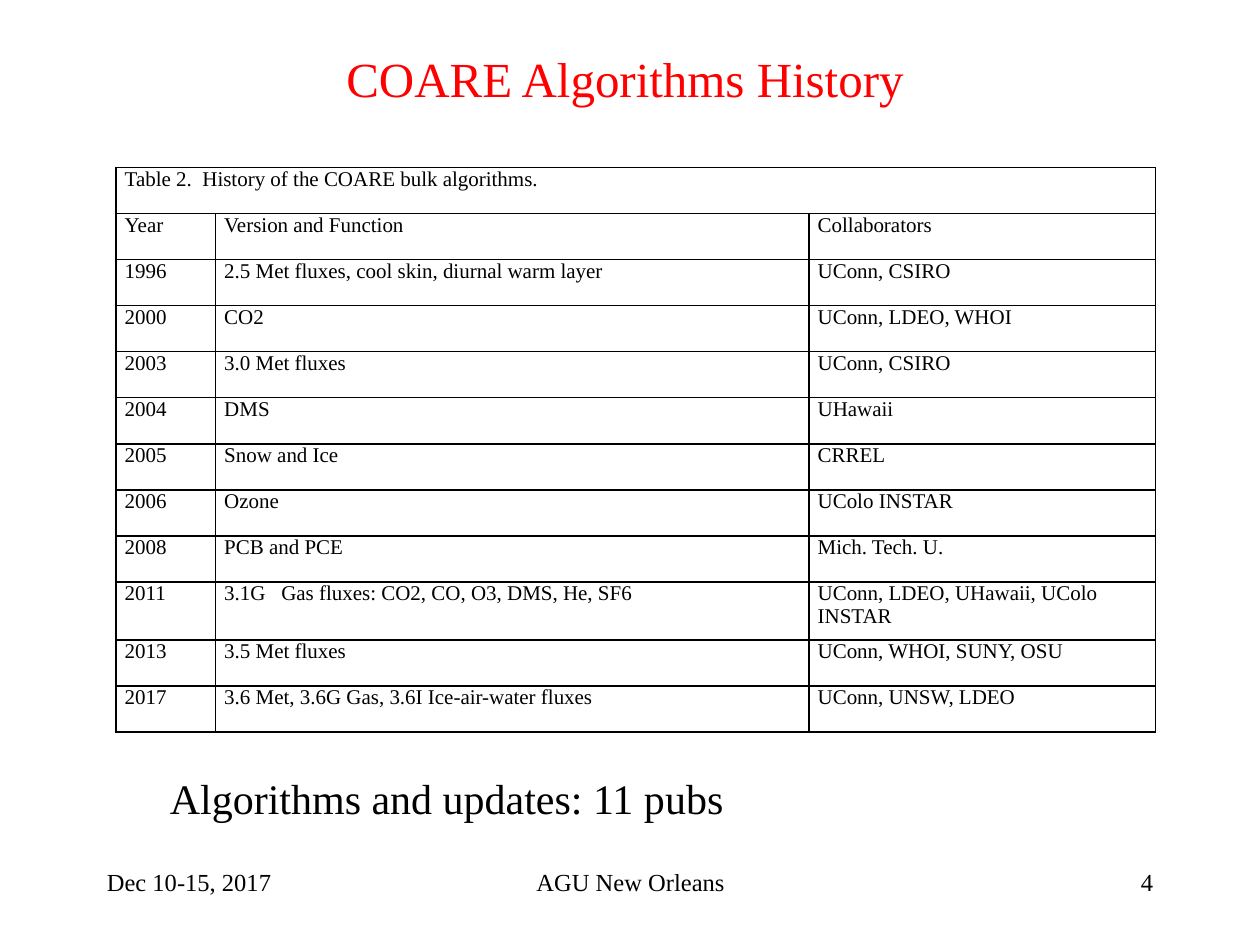
"""Build the COARE algorithms history slide with its table and footer."""
from dataclasses import dataclass

import lxml.etree
import pptx
import pptx.dml.color
import pptx.enum.text
import pptx.oxml.ns
import pptx.util

Inches = pptx.util.Inches
Align = pptx.enum.text.PP_ALIGN
Anchor = pptx.enum.text.MSO_ANCHOR


@dataclass(frozen=True)
class Theme:
    font: str = "Times New Roman"
    ink: str = "000000"
    accent: str = "FF0000"
    title: int = 28
    note: int = 24
    footer: int = 14
    table: int = 12
    border: int = 1


theme = Theme()


def write(frame, text, size, color=theme.ink, align=Align.LEFT, anchor=Anchor.TOP):
    frame.word_wrap = True
    frame.vertical_anchor = anchor
    para = frame.paragraphs[0]
    para.alignment = align
    span = para.add_run()
    span.text = text
    span.font.name = theme.font
    span.font.size = pptx.util.Pt(size)
    span.font.color.rgb = pptx.dml.color.RGBColor.from_string(color)


def draw_borders(cell):
    properties = cell._tc.get_or_add_tcPr()
    for side in ("lnL", "lnR", "lnT", "lnB"):
        line = lxml.etree.SubElement(properties, pptx.oxml.ns.qn(f"a:{side}"))
        line.set("w", str(pptx.util.Pt(theme.border)))
        fill = lxml.etree.SubElement(line, pptx.oxml.ns.qn("a:solidFill"))
        lxml.etree.SubElement(fill, pptx.oxml.ns.qn("a:srgbClr")).set("val", theme.ink)


deck = pptx.Presentation()
deck.slide_width, deck.slide_height = Inches(10), Inches(7.5)
page = deck.slides.add_slide(deck.slide_layouts[5])

title = page.shapes.title
title.left, title.top = Inches(0.75), Inches(0.33)
title.width, title.height = Inches(8.42), Inches(0.58)
write(title.text_frame, "COARE Algorithms History", size=theme.title,
      color=theme.accent, align=Align.CENTER, anchor=Anchor.MIDDLE)

caption = "Table 2.  History of the COARE bulk algorithms."
history = [
    ("Year", "Version and Function", "Collaborators"),
    ("1996", "2.5 Met fluxes, cool skin, diurnal warm layer", "UConn, CSIRO"),
    ("2000", "CO2", "UConn, LDEO, WHOI"),
    ("2003", "3.0 Met fluxes", "UConn, CSIRO"),
    ("2004", "DMS", "UHawaii"),
    ("2005", "Snow and Ice", "CRREL"),
    ("2006", "Ozone", "UColo INSTAR"),
    ("2008", "PCB and PCE", "Mich. Tech. U."),
    ("2011", "3.1G   Gas fluxes: CO2, CO, O3, DMS, He, SF6",
     "UConn, LDEO, UHawaii, UColo INSTAR"),
    ("2013", "3.5 Met fluxes", "UConn, WHOI, SUNY, OSU"),
    ("2017", "3.6 Met, 3.6G Gas, 3.6I Ice-air-water fluxes", "UConn, UNSW, LDEO"),
]
rows = [(caption, "", "")] + history
column_widths = (0.79, 4.71, 2.75)
table_height, tall_height = 4.48, 0.46
row_height = (table_height - tall_height) / (len(rows) - 1)

table = page.shapes.add_table(
    len(rows), len(column_widths), Inches(0.92), Inches(1.33),
    Inches(sum(column_widths)), Inches(table_height)).table
table.first_row = table.horz_banding = False
for column, width in zip(table.columns, column_widths):
    column.width = Inches(width)
for row, values in zip(table.rows, rows):
    row.height = Inches(tall_height if values[0] == "2011" else row_height)
    for cell, value in zip(row.cells, values):
        cell.margin_left = cell.margin_right = Inches(0.07)
        cell.margin_top = cell.margin_bottom = 0
        draw_borders(cell)
        cell.fill.background()
        if value:
            write(cell.text_frame, value, size=theme.table)
table.cell(0, 0).merge(table.cell(0, len(column_widths) - 1))

labels = [
    ("Algorithms and updates: 11 pubs", 1.25, 6.08, 7.5, theme.note, Align.LEFT),
    ("Dec 10-15, 2017", 0.75, 6.83, 2.08, theme.footer, Align.LEFT),
    ("AGU New Orleans", 3.42, 6.83, 3.17, theme.footer, Align.CENTER),
    ("4", 7.17, 6.83, 2.08, theme.footer, Align.RIGHT),
]
for text, left, top, width, size, align in labels:
    box = page.shapes.add_textbox(Inches(left), Inches(top), Inches(width), Inches(0.5))
    write(box.text_frame, text, size=size, align=align)

deck.save("out.pptx")
